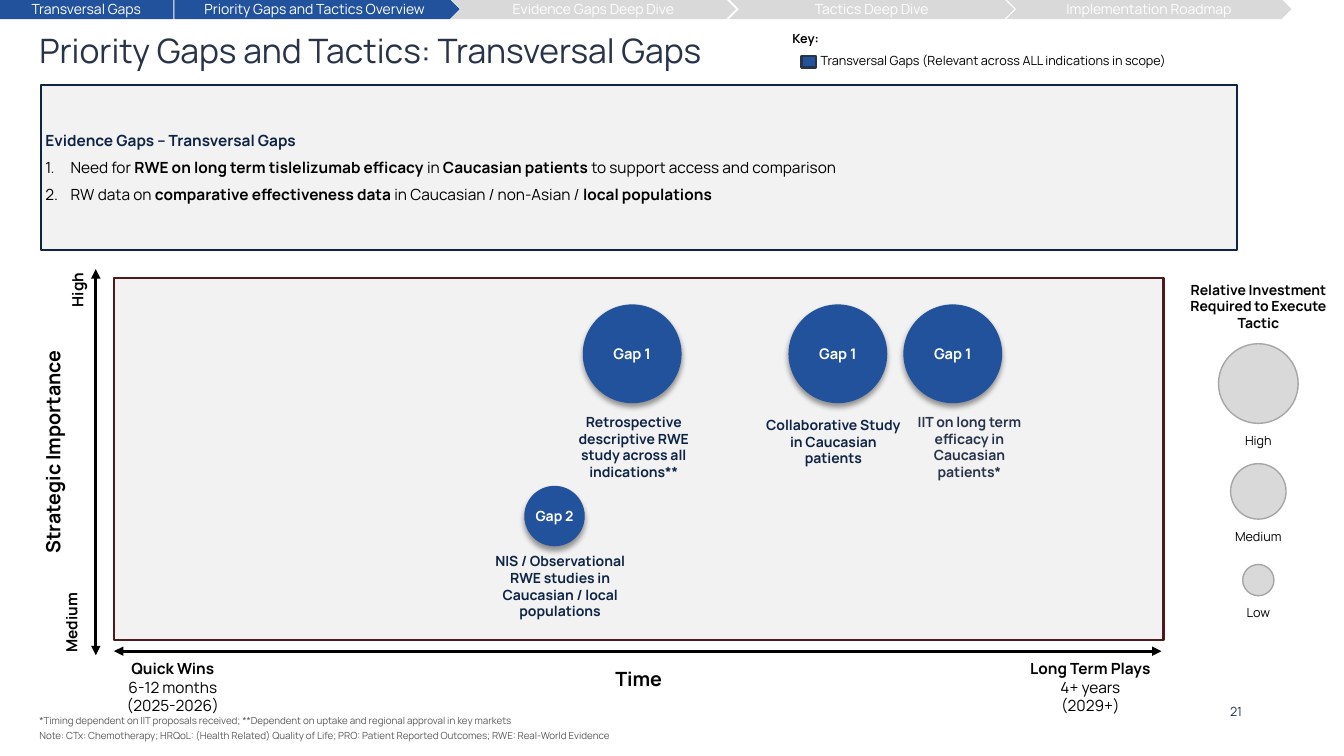
from lxml import etree
from pptx import Presentation
from pptx.dml.color import RGBColor
from pptx.enum import shapes, text
from pptx.oxml import ns
from pptx.util import Inches, Pt

HUES = {"blue": "22529C", "navy": "0F2445", "slate": "283349", "black": "000000",
        "white": "FFFFFF", "pale": "F2F2F2", "grey": "D9D9D9", "edge": "A6A6A6",
        "wine": "52191D", "note": "595959"}
FONT = "Manrope"
KIND = shapes.MSO_SHAPE
MID, TOP, LOW = text.MSO_ANCHOR.MIDDLE, text.MSO_ANCHOR.TOP, text.MSO_ANCHOR.BOTTOM
LEFT, MEAN, RIGHT = text.PP_ALIGN.LEFT, text.PP_ALIGN.CENTER, text.PP_ALIGN.RIGHT


def hue(name):
    """Return the named colour."""
    return RGBColor.from_string(HUES[name])


def node(parent, tag, **attrs):
    """Append a DrawingML element and return it."""
    return etree.SubElement(parent, ns.qn("a:" + tag), attrs)


def style(par, size, tone, bold=False, align=MEAN):
    """Set the font and alignment of a paragraph."""
    par.alignment = align
    font = par.font
    font.name, font.size, font.bold = FONT, Pt(size), bold
    font.color.rgb = hue(tone)


def write(shape, lines, size, tone="black", bold=False, align=MEAN,
          anchor=TOP, pad=(0, 0), wrap=True):
    """Fill a shape with one paragraph per line and return the paragraphs."""
    frame = shape.text_frame
    frame.word_wrap, frame.vertical_anchor = wrap, anchor
    frame.margin_left = frame.margin_right = Inches(pad[0])
    frame.margin_top = frame.margin_bottom = Inches(pad[1])
    pars = []
    for i, line in enumerate(lines):
        par = frame.add_paragraph() if i else frame.paragraphs[0]
        par.add_run().text = line
        style(par, size, tone, bold, align)
        pars.append(par)
    return pars


def label(slide, box, lines, size, turn=0, **look):
    """Add a text box and return its paragraphs."""
    area = slide.shapes.add_textbox(*map(Inches, box))
    area.rotation = turn
    return write(area, lines, size, **look)


def shape(slide, kind, box, fill, line=None, width=1.5):
    """Add a flat preset shape."""
    item = slide.shapes.add_shape(kind, *map(Inches, box))
    item.shadow.inherit = False
    item.fill.solid()
    item.fill.fore_color.rgb = hue(fill)
    if line:
        item.line.color.rgb = hue(line)
        item.line.width = Pt(width)
    else:
        item.line.fill.background()
    return item


def arrow(slide, *ends):
    """Draw a black line with a triangle at both ends."""
    item = slide.shapes.add_connector(shapes.MSO_CONNECTOR.STRAIGHT, *map(Inches, ends))
    item.line.color.rgb = hue("black")
    item.line.width = Pt(2.25)
    line = item.line._get_or_add_ln()
    for end in ("headEnd", "tailEnd"):
        node(line, end, type="triangle")
    node(item._element.spPr, "effectLst")


def bubble(slide, x, y, size, name, points):
    """Draw a gap circle with a soft shadow."""
    item = shape(slide, KIND.OVAL, (x, y, size, size), "blue")
    effects = item._element.spPr.find(ns.qn("a:effectLst"))
    cast = node(effects, "outerShdw", blurRad=str(Pt(4)), dist=str(Pt(3)),
                dir="5400000", algn="t", rotWithShape="0")
    node(node(cast, "srgbClr", val=HUES["black"]), "alpha", val="40000")
    write(item, [name], points, "white", True, anchor=MID, wrap=False)


def tracker(slide, x, y, h):
    """Draw the row of section markers."""
    steps = [("Transversal Gaps", KIND.RECTANGLE, 0, 1.73, "blue"),
             ("Priority Gaps and Tactics Overview", KIND.PENTAGON, 1.74, 2.83, "blue"),
             ("Evidence Gaps Deep Dive", KIND.CHEVRON, 4.48, 2.83, "grey"),
             ("Tactics Deep Dive", KIND.CHEVRON, 7.24, 2.83, "grey"),
             ("Implementation Roadmap", KIND.CHEVRON, 9.99, 2.83, "grey")]
    for name, kind, left, w, fill in steps:
        item = shape(slide, kind, (x + left, y, w, h), fill)
        write(item, [name], 10, "white", anchor=MID, pad=(0.05, 0.05))


def heading(slide, box):
    """Place the slide title."""
    title = slide.shapes.title
    title.left, title.top, title.width, title.height = map(Inches, box)
    write(title, ["Priority Gaps and Tactics: Transversal Gaps"], 24, "slate", align=LEFT)
    title.text_frame.auto_size = text.MSO_AUTO_SIZE.NONE


def key(slide, x, y):
    """Place the colour key."""
    label(slide, (x, y, 1, 0.2), ["Key:"], 9, bold=True, align=LEFT)
    shape(slide, KIND.RECTANGLE, (x + 0.09, y + 0.25, 0.14, 0.11), "blue", "slate")
    label(slide, (x + 0.28, y + 0.22, 4, 0.2),
          ["Transversal Gaps (Relevant across ALL indications in scope)"], 9, align=LEFT)


def evidence(slide, box):
    """Place the panel of numbered evidence gaps."""
    panel = shape(slide, KIND.RECTANGLE, box, "pale", "navy")
    write(panel, ["Evidence Gaps – Transversal Gaps"], 11, "navy", True, LEFT, MID, (0.04, 0.04))
    gaps = [[("Need for ", False), ("RWE on long term tislelizumab efficacy ", True),
             ("in ", False), ("Caucasian patients ", True),
             ("to support access and comparison", False)],
            [("RW data on ", False), ("comparative effectiveness data ", True),
             ("in Caucasian / non-Asian / ", False), ("local populations", True)]]
    for gap in gaps:
        par = panel.text_frame.add_paragraph()
        props = par._p.get_or_add_pPr()
        props.set("marL", str(Inches(0.25)))
        props.set("indent", str(-Inches(0.25)))
        node(props, "buFont", typeface="+mj-lt")
        node(props, "buAutoNum", type="arabicPeriod")
        par.space_before = Pt(6)
        style(par, 11, "black", align=LEFT)
        for words, bold in gap:
            run = par.add_run()
            run.text, run.font.bold = words, bold


def matrix(slide, x, y, w, h):
    """Draw the importance and time grid with its axes and gaps."""
    shape(slide, KIND.RECTANGLE, (x, y, w, h), "pale", "wine")
    arrow(slide, x, y + h + 0.11, x + w - 0.02, y + h + 0.11)
    arrow(slide, x - 0.18, y + h + 0.15, x - 0.18, y - 0.09)
    for name, left, top, wide, high, size, anchor in [
            ("Strategic Importance", -2.38, 1.52, 3.54, 0.41, 14, MID),
            ("Medium", -0.83, 3.22, 1.03, 0.4, 11, TOP),
            ("High", -0.63, -0.03, 0.64, 0.29, 11, TOP)]:
        label(slide, (x + left, y + top, wide, high), [name], size, 270, bold=True, anchor=anchor)
    for left, wide, lines in [
            (0.07, 1.03, ["Quick Wins", "6-12 months", "(2025-2026)"]),
            (8.97, 1.43, ["Long Term Plays", "4+ years", "(2029+)"])]:
        pars = label(slide, (x + left, y + h + 0.19, wide, 0.56), lines, 11)
        pars[0].font.bold = True
    label(slide, (x + 4.85, y + h + 0.17, 0.71, 0.44), ["Time"], 14,
          bold=True, pad=(0.1, 0.1), wrap=False)
    for name, left, top, size, points, note, at, under, wide, tone in [
            ("Gap 1", 4.65, 0.26, 0.98, 10.5,
             "Retrospective descriptive RWE study across all indications**",
             4.36, 1.24, 1.59, "navy"),
            ("Gap 1", 6.69, 0.26, 0.98, 10.5,
             "Collaborative Study in Caucasian patients", 6.33, 1.27, 1.61, "navy"),
            ("Gap 1", 7.83, 0.26, 0.98, 10.5,
             "IIT on long term efficacy in Caucasian patients*", 7.8, 1.24, 1.37, "slate"),
            ("Gap 2", 4.07, 2.06, 0.6, 10,
             "NIS / Observational RWE studies in Caucasian / local populations",
             3.63, 2.62, 1.59, "navy")]:
        bubble(slide, x + left, y + top, size, name, points)
        label(slide, (x + at, y + under, wide, 0.88), [note], 10,
              tone=tone, bold=True, pad=(0.1, 0.1))


def scale(slide, x, y, w):
    """Draw the investment size legend."""
    label(slide, (x, y, w, 0.46), ["Relative Investment Required to Execute Tactic"], 10,
          bold=True, anchor=MID)
    for name, top, size in [("High", 0.6, 0.79), ("Medium", 1.79, 0.55), ("Low", 2.79, 0.31)]:
        shape(slide, KIND.OVAL, (x + (w - size) / 2, y + top, size, size), "grey", "edge", 1)
        label(slide, (x, y + top + size + 0.04, w, 0.26), [name], 9, anchor=MID)


def footer(slide, x, y):
    """Place the footnotes and the slide number."""
    notes = ["*Timing dependent on IIT proposals received; **Dependent on uptake and "
             "regional approval in key markets",
             "Note: CTx: Chemotherapy; HRQoL: (Health Related) Quality of Life; "
             "PRO: Patient Reported Outcomes; RWE: Real-World Evidence"]
    pars = label(slide, (x, y, 8.65, 0.4), notes, 7, tone="note", align=LEFT, anchor=LOW)
    for par in pars:
        par.line_spacing = 0.9
    pars[1].space_before = Pt(3)
    label(slide, (x + 11.53, y + 0.02, 0.4, 0.15), ["21"], 9, tone="slate",
          align=RIGHT, anchor=MID)


def main():
    """Build and save the slide."""
    deck = Presentation()
    deck.slide_width, deck.slide_height = Inches(13.33), Inches(7.5)
    slide = deck.slides.add_slide(deck.slide_layouts[5])
    heading(slide, (0.39, 0.3, 12.54, 0.4))
    footer(slide, 0.39, 6.96)
    matrix(slide, 1.13, 2.76, 10.41, 3.59)
    evidence(slide, (0.41, 0.84, 11.86, 1.64))
    key(slide, 7.86, 0.31)
    scale(slide, 11.74, 2.81, 1.48)
    tracker(slide, -0.01, -0.01, 0.2)
    deck.save("out.pptx")


if __name__ == "__main__":
    main()
